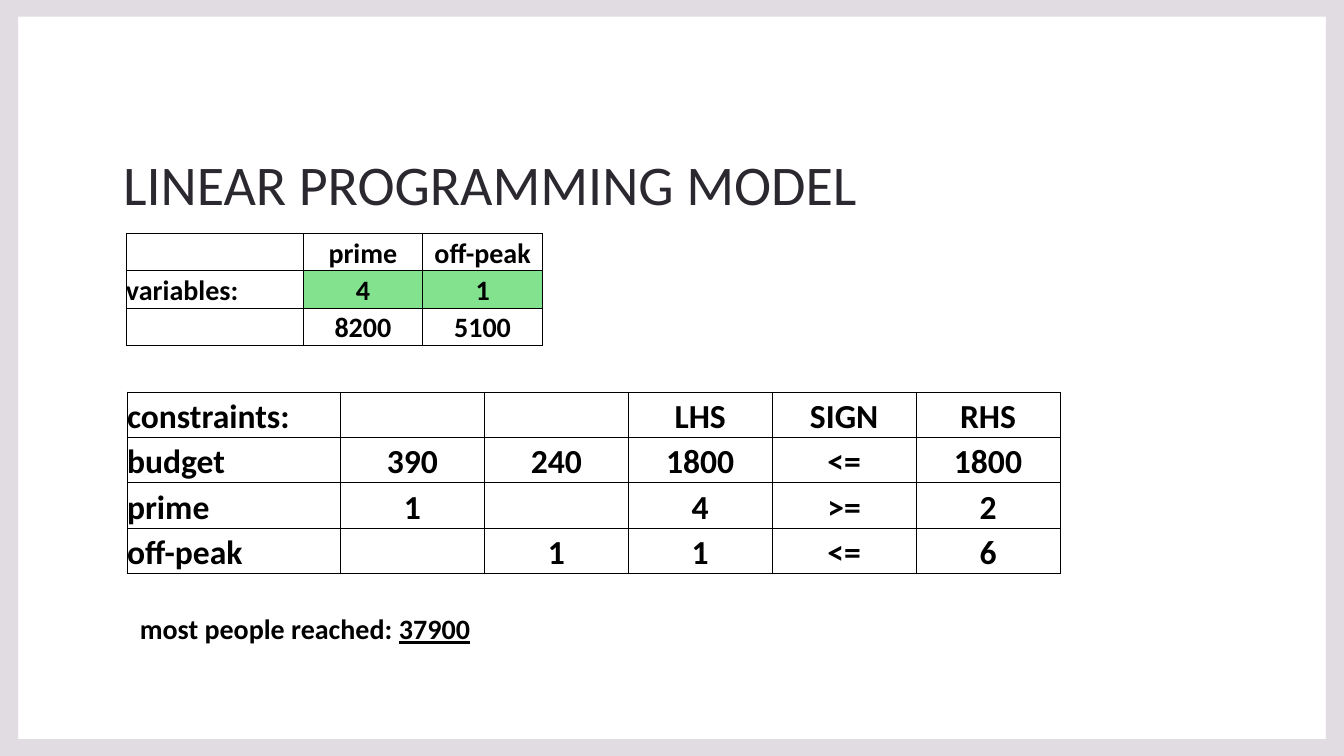
from dataclasses import dataclass

from lxml.etree import SubElement
from pptx import Presentation
from pptx.dml.color import RGBColor
from pptx.enum.text import MSO_ANCHOR, PP_ALIGN
from pptx.oxml.ns import qn
from pptx.util import Pt


@dataclass(frozen=True)
class Theme:
    font: str = "Calibri"
    frame: str = "E0DCE1"
    heading: str = "2C2830"
    ink: str = "000000"
    solution: str = "83E28E"
    title_size: float = 40
    large_size: float = 24
    body_size: float = 20
    border: float = 0.5


@dataclass(frozen=True)
class Box:
    left: float
    top: float
    width: float
    height: float

    def lengths(self):
        return Pt(self.left), Pt(self.top), Pt(self.width), Pt(self.height)


THEME = Theme()
SLIDE = Box(0, 0, 960, 540)

VARIABLES = [
    ["", "prime", "off-peak"],
    ["variables:", "4", "1"],
    ["", "8200", "5100"],
]
SOLUTION_CELLS = {(1, 1), (1, 2)}

CONSTRAINTS = [
    ["constraints:", "", "", "LHS", "SIGN", "RHS"],
    ["budget", "390", "240", "1800", "<=", "1800"],
    ["prime", "1", "", "4", ">=", "2"],
    ["off-peak", "", "1", "1", "<=", "6"],
]


def style_font(font, size, color, bold=False):
    font.name = THEME.font
    font.size = Pt(size)
    font.bold = bold
    font.color.rgb = RGBColor.from_string(color)


def add_frame(slide, box, side, edge):
    """Border band around the slide, with an open middle."""
    right, bottom = box.left + box.width, box.top + box.height
    outer = [(box.left, box.top), (right, box.top),
             (right, bottom), (box.left, bottom)]
    inner = [(box.left + side, box.top + edge), (box.left + side, bottom - edge),
             (right - side, bottom - edge), (right - side, box.top + edge)]
    builder = slide.shapes.build_freeform(*outer[0], scale=Pt(1))
    builder.add_line_segments(outer[1:], close=True)
    builder.move_to(*inner[0])
    builder.add_line_segments(inner[1:], close=True)
    frame = builder.convert_to_shape()
    frame.shadow.inherit = False
    frame.fill.solid()
    frame.fill.fore_color.rgb = RGBColor.from_string(THEME.frame)
    frame.line.fill.background()


def add_title(slide, box, wording):
    title = slide.shapes.title
    title.left, title.top, title.width, title.height = box.lengths()
    title.text_frame.text = wording
    title.text_frame.vertical_anchor = MSO_ANCHOR.BOTTOM
    paragraph = title.text_frame.paragraphs[0]
    paragraph.alignment = PP_ALIGN.LEFT
    paragraph.line_spacing = 1.1
    style_font(paragraph.runs[0].font, THEME.title_size, THEME.heading)


def draw_borders(cell):
    properties = cell._tc.get_or_add_tcPr()
    for side in ("a:lnL", "a:lnR", "a:lnT", "a:lnB"):
        line = SubElement(properties, qn(side), w=str(Pt(THEME.border)))
        fill = SubElement(line, qn("a:solidFill"))
        SubElement(fill, qn("a:srgbClr"), val=THEME.ink)


def add_grid(slide, box, rows, label_width, size, highlighted=()):
    """Table with a label column and equal value columns."""
    value_count = len(rows[0]) - 1
    grid = slide.shapes.add_table(len(rows), value_count + 1, *box.lengths()).table
    grid.first_row = grid.horz_banding = False
    value_width = (box.width - label_width) / value_count
    for index, column in enumerate(grid.columns):
        column.width = Pt(value_width if index else label_width)
    for row in grid.rows:
        row.height = Pt(box.height / len(rows))

    for r, values in enumerate(rows):
        for c, value in enumerate(values):
            cell = grid.cell(r, c)
            cell.margin_left = cell.margin_right = 0
            cell.margin_top = cell.margin_bottom = 0
            cell.vertical_anchor = MSO_ANCHOR.BOTTOM
            draw_borders(cell)
            if (r, c) in highlighted:
                cell.fill.solid()
                cell.fill.fore_color.rgb = RGBColor.from_string(THEME.solution)
            else:
                cell.fill.background()
            cell.text_frame.text = value
            paragraph = cell.text_frame.paragraphs[0]
            paragraph.alignment = PP_ALIGN.CENTER if c else PP_ALIGN.LEFT
            style_font(paragraph.font, size, THEME.ink, bold=True)
            for run in paragraph.runs:
                style_font(run.font, size, THEME.ink, bold=True)


def add_result(slide, box, label, total):
    result = slide.shapes.add_textbox(*box.lengths()).text_frame
    result.word_wrap = True
    paragraph = result.paragraphs[0]
    for wording in (label, total):
        run = paragraph.add_run()
        run.text = wording
        style_font(run.font, THEME.body_size, THEME.ink, bold=True)
        run.font.underline = wording == total


def build_model_slide(presentation):
    slide = presentation.slides.add_slide(presentation.slide_layouts[5])
    # Frame and heading
    add_frame(slide, SLIDE, side=12.75, edge=12.25)
    add_title(slide, Box(80.75, 57, 798, 101.5), "LINEAR PROGRAMMING MODEL")
    # Constraints and decision variables
    add_grid(slide, Box(90.75, 280, 666.5, 129.6), CONSTRAINTS,
             label_width=152.5, size=THEME.large_size)
    add_grid(slide, Box(90, 166.75, 297.5, 79.8), VARIABLES,
             label_width=126.5, size=THEME.body_size, highlighted=SOLUTION_CELLS)
    # Objective value
    add_result(slide, Box(92.75, 433.5, 480, 31.5), "most people reached: ", "37900")


def main():
    presentation = Presentation()
    presentation.slide_width = Pt(SLIDE.width)
    presentation.slide_height = Pt(SLIDE.height)
    build_model_slide(presentation)
    presentation.save("out.pptx")


if __name__ == "__main__":
    main()
